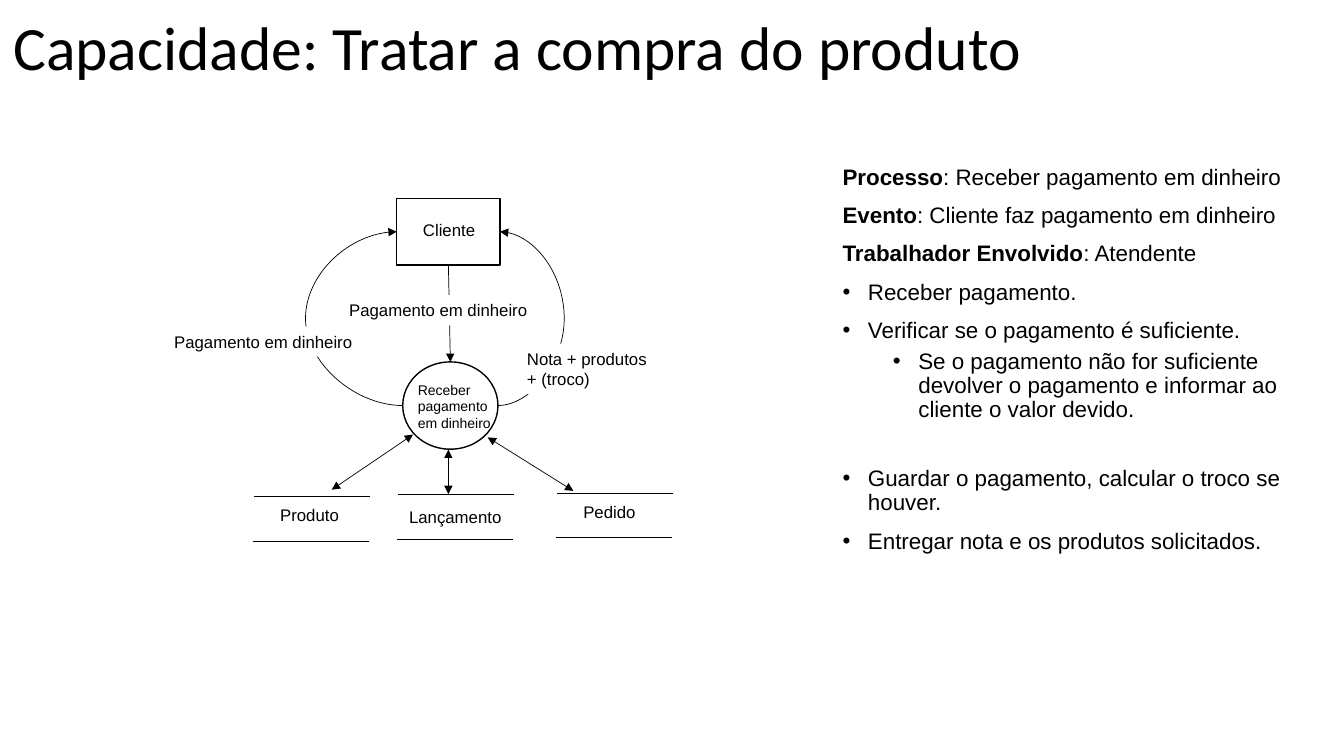
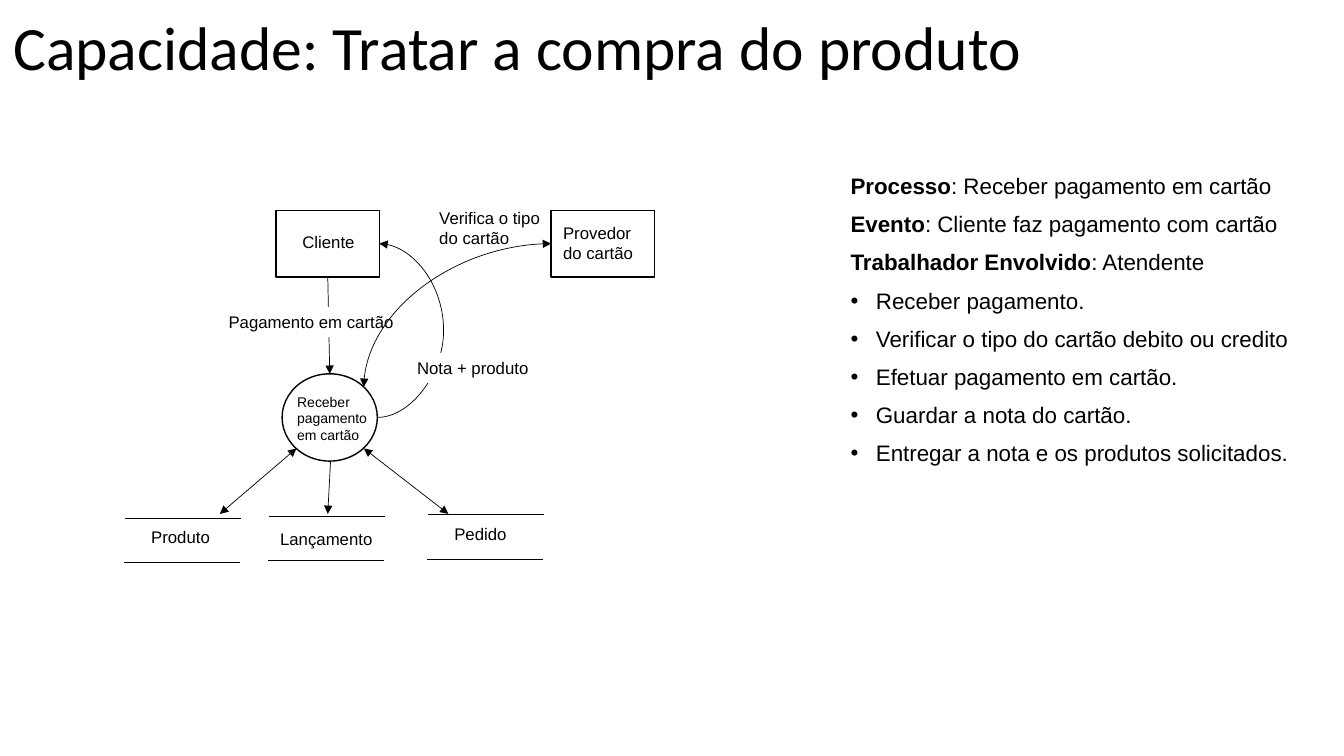
from lxml import etree
from pptx import Presentation
from pptx.dml.color import RGBColor
from pptx.enum.shapes import MSO_CONNECTOR, MSO_SHAPE
from pptx.enum.text import MSO_ANCHOR, MSO_AUTO_SIZE, PP_ALIGN
from pptx.oxml.ns import qn
from pptx.util import Cm, Pt

BLACK = RGBColor(0, 0, 0)
WHITE = RGBColor(255, 255, 255)
RECT, OVAL = MSO_SHAPE.RECTANGLE, MSO_SHAPE.OVAL
LINE, CURVE = MSO_CONNECTOR.STRAIGHT, MSO_CONNECTOR.CURVE
LEFT, TOP, MIDDLE = PP_ALIGN.LEFT, MSO_ANCHOR.TOP, MSO_ANCHOR.MIDDLE
NO_FIT = MSO_AUTO_SIZE.NONE
TITLE = "Capacidade: Tratar a compra do produto"
BOX_W, BOX_H = 2.6, 1.68
RING_W, RING_H = 2.4, 2.2
STORE_W, STORE_H = 2.92, 1.13
HEAD, TAIL = "headEnd", "tailEnd"
BOTH = (HEAD, TAIL)


def write(par, text, size=12, font="Arial", bold=False, color=BLACK):
    run = par.add_run()
    run.text = text
    run.font.size = Pt(size)
    run.font.name = font
    run.font.bold = bold
    run.font.color.rgb = color


def place(shape, x, y, w, h):
    shape.left, shape.top = Cm(x), Cm(y)
    shape.width, shape.height = Cm(w), Cm(h)


def label(slide, text, x, y, w, h=0.76, size=12, fill=WHITE):
    """Add a text box with one paragraph per line of text."""
    box = slide.shapes.add_textbox(Cm(x), Cm(y), Cm(w), Cm(h))
    if fill is not None:
        box.fill.solid()
        box.fill.fore_color.rgb = fill
    frame = box.text_frame
    frame.word_wrap = True
    for i, line in enumerate(text.split("\n")):
        par = frame.add_paragraph() if i else frame.paragraphs[0]
        write(par, line, size=size)


def outline(slide, kind, x, y, w, h):
    shape = slide.shapes.add_shape(kind, Cm(x), Cm(y), Cm(w), Cm(h))
    shape.shadow.inherit = False
    shape.fill.background()
    shape.line.color.rgb = BLACK
    shape.line.width = Pt(1)
    return shape


def link(slide, x1, y1, x2, y2, ends=(), kind=LINE):
    wire = slide.shapes.add_connector(kind, Cm(x1), Cm(y1), Cm(x2), Cm(y2))
    wire.line.color.rgb = BLACK
    wire.line.width = Pt(0.5)
    props = wire.element.spPr
    for end in ends:
        etree.SubElement(props.find(qn("a:ln")), qn("a:" + end), type="triangle")
    etree.SubElement(props, qn("a:effectLst"))
    return wire


def arc(slide, x1, y1, x2, y2, peak):
    """Add a curved arrow that bulges sideways as far as x = peak."""
    wire = link(slide, x1, y1, x2, y2, (TAIL,), CURVE)
    guides = wire.element.spPr.find(qn("a:prstGeom")).get_or_add_avLst()
    ratio = round((peak - x1) / (x2 - x1) * 100000)
    etree.SubElement(guides, qn("a:gd"), name="adj1", fmla=f"val {ratio}")


def bend(slide, x1, y1, x2, y2):
    """Add a quarter curve that leaves sideways and arrives upright."""
    wire = link(slide, x1, y1, x2, y2, BOTH, CURVE)
    wire.element.spPr.find(qn("a:prstGeom")).set("prst", "curvedConnector2")


def flow(slide, x, y, means):
    """Draw the client, the process, the payment and the return arrow."""
    client = outline(slide, RECT, x, y, BOX_W, BOX_H)
    ring = outline(slide, OVAL, x + 0.15, y + 4.12, RING_W, RING_H)
    wire = link(slide, x, y, x, y + 1, (TAIL,))
    wire.begin_connect(client, 2)
    wire.end_connect(ring, 0)
    label(slide, f"Pagamento em {means}", x - 1.45, y + 2.44, 6.2)
    label(slide, "Cliente", x + 0.41, y + 0.41, 1.9)
    label(slide, f"Receber\npagamento\nem {means}", x + 0.28, y + 4.48,
          4.04, 1.55, size=10, fill=None)
    arc(slide, x + 0.15 + RING_W, y + 5.22, x + BOX_W, y + BOX_H / 2, x + 4.22)


def stores(slide, x, y):
    """Draw the three data stores, each between two rules."""
    for name, dx, dy, tx, ty, w in (
        ("Produto", -3.63, 0.05, 0.41, 0.1, 2.34),
        ("Lançamento", 0, 0, 0.03, 0.2, 2.92),
        ("Pedido", 4.01, -0.03, 0.41, 0.1, 2.34),
    ):
        left, top = x + dx, y + dy
        for shift, drop in ((0, 0), (-0.03, STORE_H)):
            start = left + shift
            link(slide, start, top + drop, start + STORE_W, top + drop)
        label(slide, name, left + tx, top + ty, w)


def item(par, text, level=0, gap=10, bullet=True):
    par.level = level
    par.line_spacing = 0.9
    par.space_before = Pt(gap)
    par.alignment = LEFT
    props = par._p.get_or_add_pPr()
    hang = Cm(0.64) if bullet else 0
    props.set("marL", str(hang + level * Cm(1.27)))
    props.set("indent", str(-hang))
    if bullet:
        etree.SubElement(props, qn("a:buFont"), typeface="Arial")
        etree.SubElement(props, qn("a:buChar"), char="•")
    else:
        etree.SubElement(props, qn("a:buNone"))
        term, text = text.split(":")
        write(par, term, size=16, bold=True)
        text = ":" + text
    write(par, text, size=16)


def page(deck, x, y, facts, steps):
    """Add a slide with the title and the process notes at x, y."""
    slide = deck.slides.add_slide(deck.slide_layouts[1])
    title, body = slide.placeholders
    place(title, 0.08, 0.18, 29.2, 2.18)
    place(body, x, y, 12.04, 12.09)
    for shape, anchor in ((title, MIDDLE), (body, TOP)):
        frame = shape.text_frame
        frame.word_wrap = True
        frame.auto_size = NO_FIT
        frame.vertical_anchor = anchor
    head = title.text_frame.paragraphs[0]
    head.alignment = LEFT
    head.line_spacing = 0.9
    write(head, TITLE, size=44, font="Calibri")
    rows = [(fact, {"bullet": False}) for fact in facts] + steps
    frame = body.text_frame
    for i, (text, style) in enumerate(rows):
        par = frame.add_paragraph() if i else frame.paragraphs[0]
        item(par, text, **style)
    return slide


def cash(deck):
    slide = page(deck, 20.98, 4.06, (
        "Processo: Receber pagamento em dinheiro",
        "Evento: Cliente faz pagamento em dinheiro",
        "Trabalhador Envolvido: Atendente",
    ), [
        ("Receber pagamento.", {}),
        ("Verificar se o pagamento é suficiente.", {}),
        ("Se o pagamento não for suficiente devolver o pagamento e informar "
         "ao cliente o valor devido.", {"level": 1, "gap": 5}),
        ("Guardar o pagamento, calcular o troco se houver.", {"gap": 32}),
        ("Entregar nota e os produtos solicitados.", {}),
    ])
    x, y = 10, 5
    flow(slide, x, y, "dinheiro")
    label(slide, "Nota + produtos + (troco)", 13.03, 8.66, 3.71, 1.27)
    arc(slide, x + 0.15, y + 5.22, x, y + BOX_H / 2, x - 2.3)
    label(slide, "Pagamento em dinheiro", 4.14, 8.23, 6.2)
    stores(slide, 10.03, 12.45)
    link(slide, 11.3, 11.33, 11.3, 12.45, BOTH)
    link(slide, 10.41, 10.95, 8.36, 12.34, BOTH)
    link(slide, 12.29, 11.02, 14.45, 12.37, BOTH)


def card(deck):
    slide = page(deck, 21.18, 4.29, (
        "Processo: Receber pagamento em cartão",
        "Evento: Cliente faz pagamento com cartão",
        "Trabalhador Envolvido: Atendente",
    ), [(text, {}) for text in (
        "Receber pagamento.",
        "Verificar o tipo do cartão debito ou credito",
        "Efetuar pagamento em cartão.",
        "Guardar a nota do cartão.",
        "Entregar a nota e os produtos solicitados.",
    )])
    x, y = 6.96, 5.3
    flow(slide, x, y, "cartão")
    label(slide, "Nota + produto", 10.26, 8.89, 3.71)
    stores(slide, 6.78, 13)
    link(slide, 8.33, 11.63, 8.26, 12.95, (TAIL,))
    link(slide, 9.17, 11.3, 11.3, 12.95, BOTH)
    link(slide, 7.47, 11.3, 5.54, 12.95, BOTH)
    bank = 13.89
    outline(slide, RECT, bank, y, BOX_W, BOX_H)
    label(slide, "Provedor do cartão", bank + 0.05, y + 0.19, 2.46, 1.27)
    bend(slide, bank, y + BOX_H / 2, 9.17, 9.75)
    label(slide, "Verifica o tipo do cartão", 10.82, 5.11, 3.12, 1.27, fill=None)


def main():
    deck = Presentation()
    deck.slide_width, deck.slide_height = Cm(33.87), Cm(19.05)
    cash(deck)
    card(deck)
    deck.save("out.pptx")


if __name__ == "__main__":
    main()
